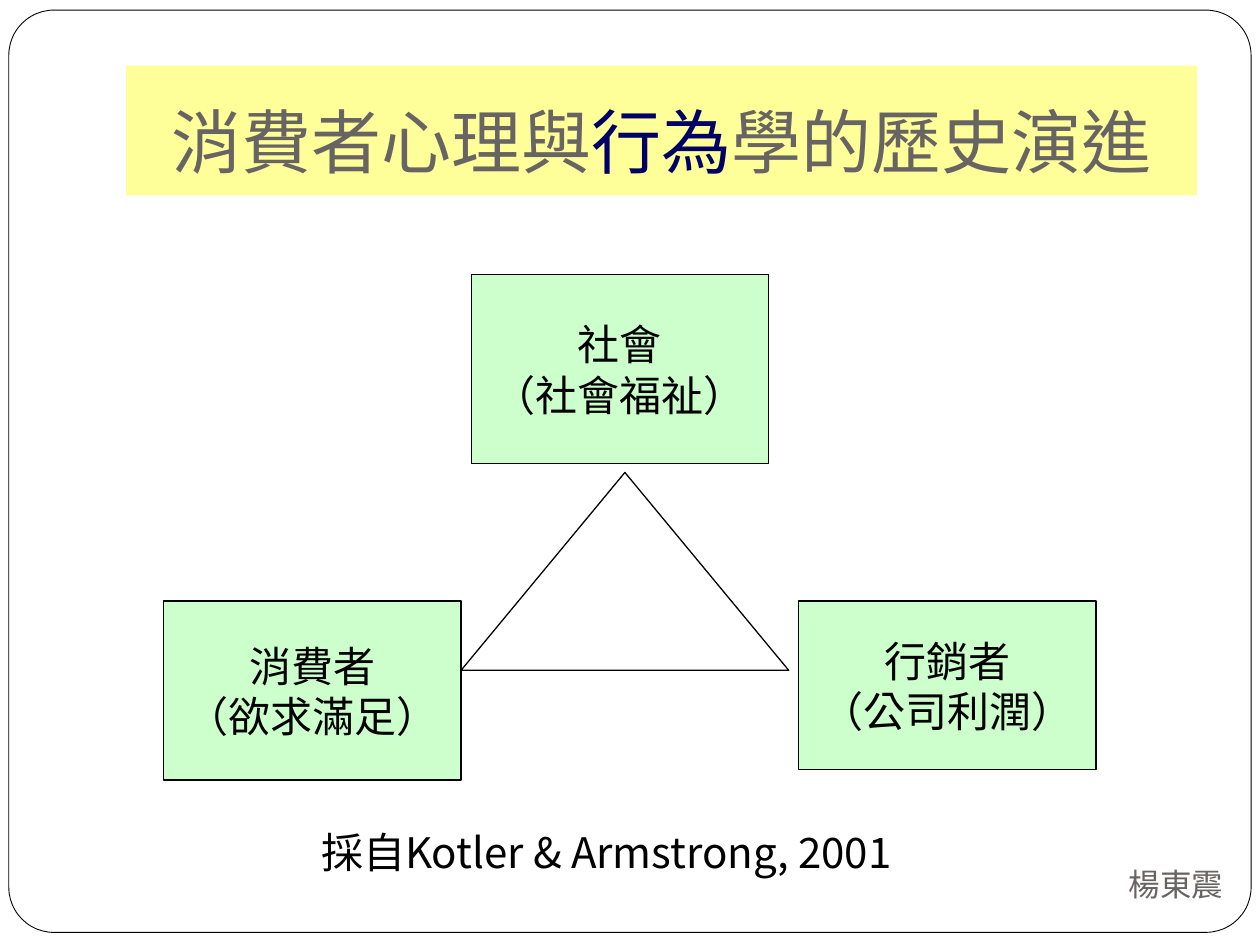
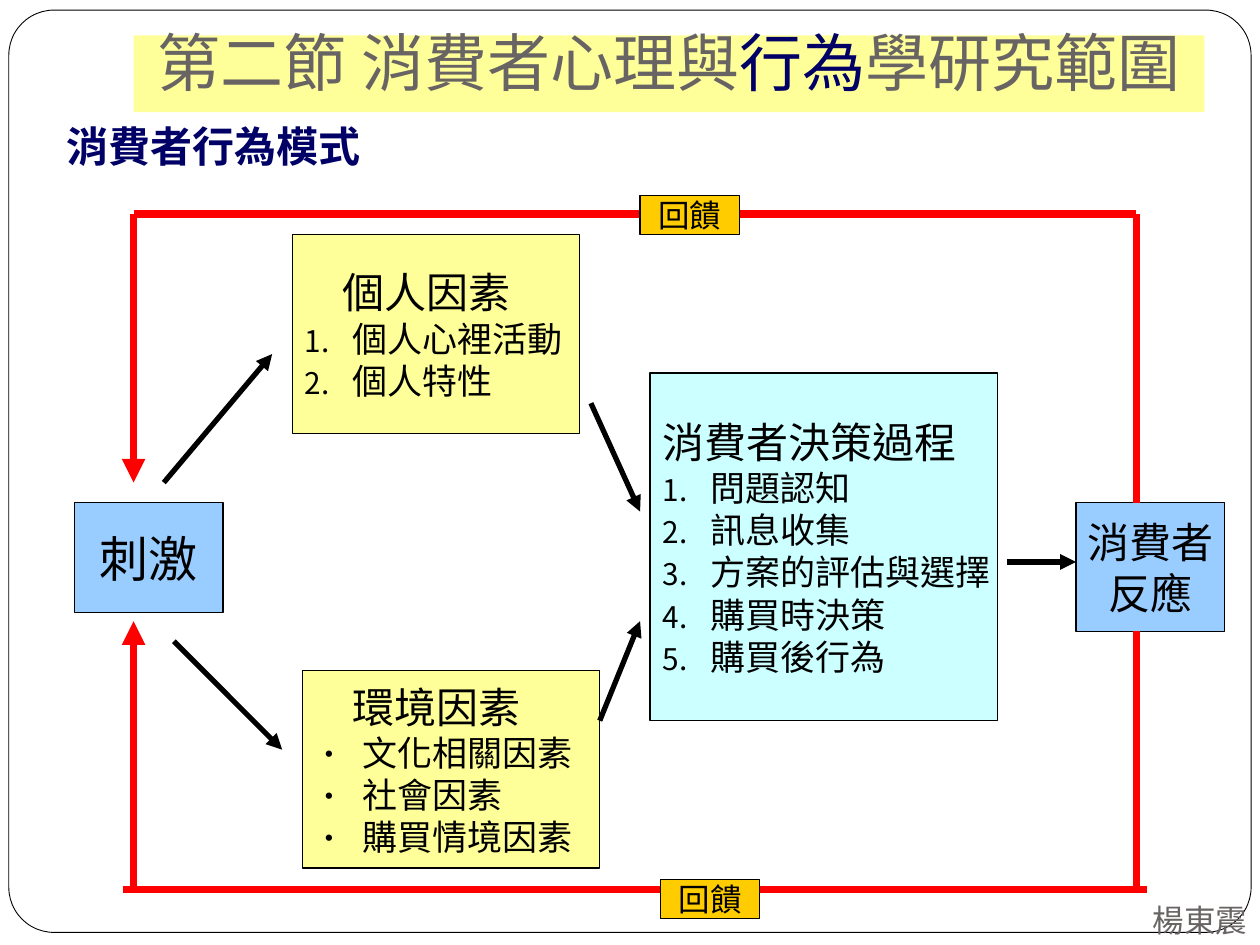
from dataclasses import dataclass
from typing import NamedTuple

from lxml.etree import SubElement
from pptx import Presentation
from pptx.dml.color import RGBColor
from pptx.enum.shapes import MSO_CONNECTOR, MSO_SHAPE
from pptx.enum.text import MSO_ANCHOR, MSO_AUTO_SIZE, PP_ALIGN
from pptx.oxml.ns import qn
from pptx.util import Inches, Pt

WIDTH, HEIGHT = Inches(10), Inches(7.5)
COLUMNS, ROWS = 100, 75
FONT, LATIN_SERIF = "Noto Sans CJK SC", "Times New Roman"
BLACK, WHITE, GREY, NAVY, RED = "000000", "FFFFFF", "696464", "000066", "FF0000"
YELLOW, GREEN, BLUE, CYAN, GOLD = "FFFF99", "CCFFCC", "99CCFF", "CCFFFF", "FFCC00"
AUTHOR = "楊東震"
LIST_INDENT = Inches(0.38)


class Area(NamedTuple):
    """Left, top, width and height in grid columns and rows."""
    left: float
    top: float
    width: float
    height: float


class Span(NamedTuple):
    text: str
    color: str = GREY
    font: str = FONT


class Line(NamedTuple):
    text: str
    size: float = 24
    marker: str = ""
    indent: float = 0


@dataclass
class Box:
    area: Area
    fill: str
    lines: list[Line]
    align: PP_ALIGN = PP_ALIGN.CENTER


@dataclass
class Link:
    start: tuple[float, float]
    end: tuple[float, float]
    color: str = BLACK
    weight: float = 3
    arrow: bool = True


def rgb(color: str) -> RGBColor:
    return RGBColor.from_string(color)


def across(columns: float) -> int:
    return round(WIDTH * columns / COLUMNS)


def down(rows: float) -> int:
    return round(HEIGHT * rows / ROWS)


def place(area: Area) -> tuple[int, int, int, int]:
    return across(area.left), down(area.top), across(area.width), down(area.height)


def add_span(para, text: str, size: float, color: str, font: str = FONT, bold: bool = False):
    span = para.add_run()
    span.text = text
    span.font.size, span.font.bold, span.font.name = Pt(size), bold, font
    span.font.color.rgb = rgb(color)
    properties = span._r.get_or_add_rPr()
    properties.set("lang", "zh-TW")
    SubElement(properties, qn("a:ea"), typeface=FONT)


def set_marker(para, marker: str):
    """Hang a bullet character, or automatic numbers when the marker is "1."."""
    properties = para._p.get_or_add_pPr()
    properties.set("marL", str(LIST_INDENT))
    properties.set("indent", str(-LIST_INDENT))
    color = SubElement(properties, qn("a:buClr"))
    SubElement(color, qn("a:srgbClr"), val=BLACK)
    SubElement(properties, qn("a:buSzPct"), val="85000")
    SubElement(properties, qn("a:buFont"), typeface=FONT)
    if marker == "1.":
        SubElement(properties, qn("a:buAutoNum"), type="arabicPeriod")
    else:
        SubElement(properties, qn("a:buChar"), char=marker)


def add_outline(page, kind: MSO_SHAPE, area: Area, fill: str = "", weight: float = 0.75):
    shape = page.shapes.add_shape(kind, *place(area))
    shape.shadow.inherit = False
    if fill:
        shape.fill.solid()
        shape.fill.fore_color.rgb = rgb(fill)
    else:
        shape.fill.background()
    shape.line.color.rgb = rgb(BLACK)
    shape.line.width = Pt(weight)
    return shape


def add_box(page, box: Box):
    frame = add_outline(page, MSO_SHAPE.RECTANGLE, box.area, box.fill).text_frame
    frame.word_wrap = False
    frame.vertical_anchor = MSO_ANCHOR.MIDDLE
    for number, line in enumerate(box.lines):
        para = frame.add_paragraph() if number else frame.paragraphs[0]
        para.alignment = box.align
        if line.marker:
            set_marker(para, line.marker)
        elif line.indent:
            para._p.get_or_add_pPr().set("marL", str(Inches(line.indent)))
        add_span(para, line.text, line.size, BLACK)


def add_label(page, area: Area, text: str, size: float, color: str,
              bold: bool = False, wrap: bool = False):
    frame = page.shapes.add_textbox(*place(area)).text_frame
    frame.word_wrap = wrap
    frame.auto_size = MSO_AUTO_SIZE.SHAPE_TO_FIT_TEXT
    add_span(frame.paragraphs[0], text, size, color, bold=bold)


def add_link(page, link: Link):
    (x1, y1), (x2, y2) = link.start, link.end
    line = page.shapes.add_connector(
        MSO_CONNECTOR.STRAIGHT, across(x1), down(y1), across(x2), down(y2))
    line.line.color.rgb = rgb(link.color)
    line.line.width = Pt(link.weight)
    if link.arrow:
        SubElement(line.get_or_add_ln(), qn("a:tailEnd"), type="triangle")
    SubElement(line._element.spPr, qn("a:effectLst"))


def add_page(deck, title_area: Area, spans: list[Span], size: float):
    """Add a title-only page with its yellow title band."""
    page = deck.slides.add_slide(deck.slide_layouts[5])
    title = page.shapes.title
    title.left, title.top, title.width, title.height = place(title_area)
    title.fill.solid()
    title.fill.fore_color.rgb = rgb(YELLOW)
    frame = title.text_frame
    frame.auto_size = MSO_AUTO_SIZE.NONE
    frame.word_wrap = True
    frame.vertical_anchor = MSO_ANCHOR.BOTTOM
    frame.margin_bottom = Inches(0.1)
    para = frame.paragraphs[0]
    para.alignment = PP_ALIGN.CENTER
    for span in spans:
        add_span(para, span.text, size, span.color, span.font)
    return page


def add_author(page, left: float, top: float):
    add_label(page, Area(left, top, 9.5, 4), AUTHOR, 18, GREY)


def frame_master(deck, page):
    """Draw the rounded page border once, behind everything on the master."""
    border = add_outline(page, MSO_SHAPE.ROUNDED_RECTANGLE,
                         Area(0.7, 0.8, 98.6, 73.2), WHITE, 0.5)
    border.adjustments[0] = 0.049
    deck.slide_master.shapes.element.insert(2, border.element)


def build_history(deck):
    page = add_page(deck, Area(10, 5.2, 85, 10.3), [
        Span("消費者"), Span("心理", font=LATIN_SERIF), Span("與"),
        Span("行為", NAVY), Span("學的歷史演進")], 40)
    frame_master(deck, page)
    parties = [
        (37.4, 21.8, 15, "社會", "（社會福祉）"),
        (13, 47.7, 14.2, "消費者", "（欲求滿足）"),
        (63.4, 47.7, 13.4, "行銷者", "（公司利潤）"),
    ]
    for left, top, height, party, aim in parties:
        add_box(page, Box(Area(left, top, 23.6, height), GREEN, [Line(party), Line(aim)]))
    add_outline(page, MSO_SHAPE.ISOSCELES_TRIANGLE, Area(36.6, 37.5, 26, 15.7))
    add_label(page, Area(24.5, 65.1, 57.6, 5), "採自Kotler & Armstrong, 2001", 24, BLACK)
    add_author(page, 88.6, 68.2)


def listing(heading: str, items: list[str], marker: str, indent: float = 0) -> list[Line]:
    return [Line(heading, indent=indent)] + [Line(item, 20, marker) for item in items]


def build_scope(deck):
    page = add_page(deck, Area(10.6, 2.8, 85, 6.1), [
        Span("第二節 消費者心理與"), Span("行為", NAVY), Span("學研究範圍")], 36)

    personal = listing("個人因素", ["個人心裡活動", "個人特性"], "1.", 0.3)
    setting = listing("環境因素", ["文化相關因素", "社會因素", "購買情境因素"], "•", 0.3)
    decision = listing("消費者決策過程", [
        "問題認知", "訊息收集", "方案的評估與選擇", "購買時決策", "購買後行為"], "1.")
    for box in (
        Box(Area(5.9, 39.9, 11.8, 8.7), BLUE, [Line("刺激", 28)]),
        Box(Area(23.2, 18.6, 22.8, 15.8), YELLOW, personal, PP_ALIGN.LEFT),
        Box(Area(24, 53.2, 23.6, 15.7), YELLOW, setting, PP_ALIGN.LEFT),
        Box(Area(51.6, 29.6, 27.6, 27.6), CYAN, decision, PP_ALIGN.LEFT),
        Box(Area(85.4, 39.9, 11.8, 10.2), BLUE, [Line("消費者"), Line("反應")]),
    ):
        add_box(page, box)

    for start, end in (
        ((13, 38.3), (21.6, 28.1)),
        ((13.8, 50.9), (22.4, 59.5)),
        ((46.9, 32), (50.8, 40.6)),
        ((47.6, 57.2), (50.8, 49.3)),
        ((79.9, 44.6), (85.4, 44.6)),
    ):
        add_link(page, Link(start, end))

    stimulus, response, top, bottom = 10.6, 90.2, 17, 70.6
    for start, end, arrow in (
        ((stimulus, top), (stimulus, 38.3), True),
        ((stimulus, top), (response, top), False),
        ((stimulus, bottom), (stimulus, 49.3), True),
        ((stimulus - 0.8, bottom), (response + 0.8, bottom), False),
        ((response, top), (response, 39.9), False),
        ((response, 50.1), (response, bottom), False),
    ):
        add_link(page, Link(start, end, RED, 4.5, arrow))

    for left, row in ((50.8, 15.5), (52.4, 69.8)):
        add_box(page, Box(Area(left, row, 7.9, 3.1), GOLD, [Line("回饋", 18)]))
    add_label(page, Area(4.3, 9.1, 28.4, 5), "消費者行為模式", 24, NAVY, bold=True, wrap=True)
    add_author(page, 90.5, 71)


def main():
    deck = Presentation()
    deck.slide_width, deck.slide_height = WIDTH, HEIGHT
    build_history(deck)
    build_scope(deck)
    deck.save("out.pptx")


if __name__ == "__main__":
    main()
